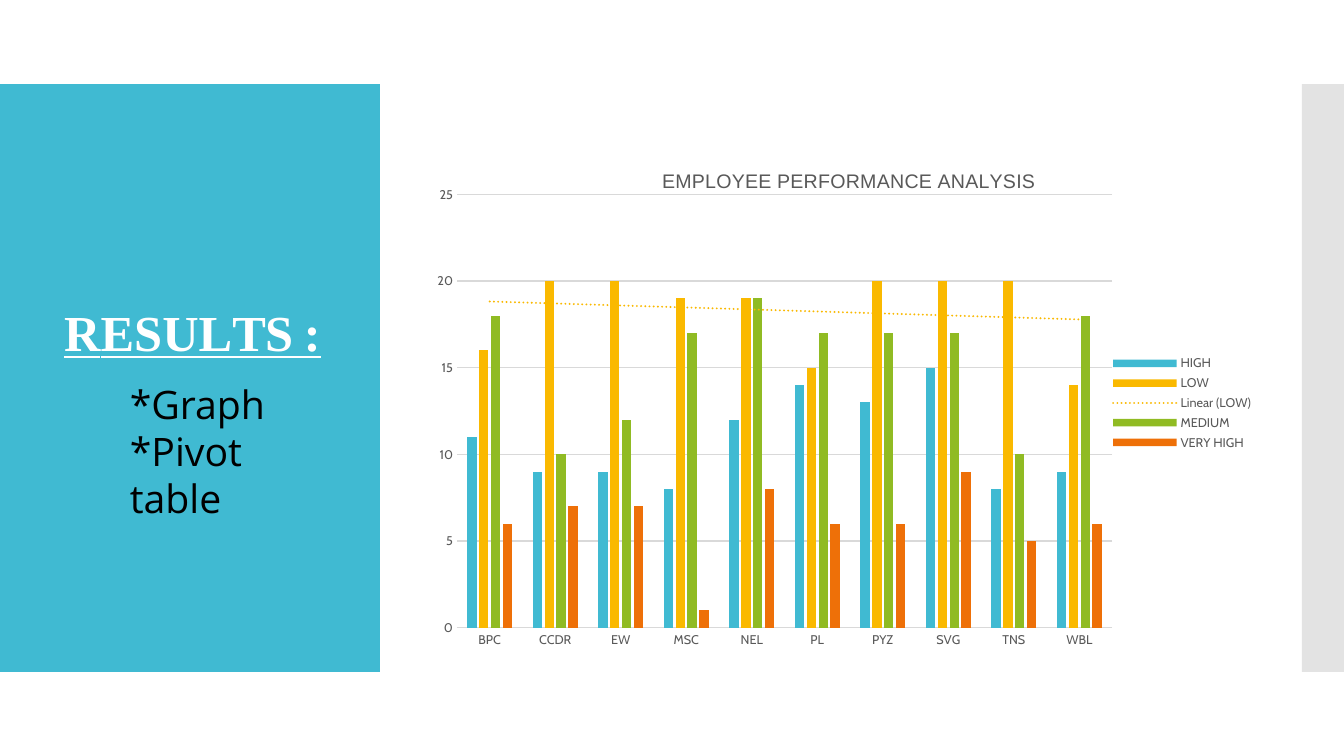
from dataclasses import dataclass

from lxml import etree
from pptx import Presentation
from pptx.chart.data import CategoryChartData
from pptx.dml.color import RGBColor
from pptx.enum.chart import XL_CHART_TYPE, XL_LEGEND_POSITION, XL_TICK_MARK
from pptx.enum.shapes import MSO_SHAPE
from pptx.enum.text import MSO_ANCHOR, PP_ALIGN
from pptx.oxml import parse_xml
from pptx.oxml.ns import nsdecls, qn
from pptx.util import Pt

COLUMNS = XL_CHART_TYPE.COLUMN_CLUSTERED
LEGEND_RIGHT = XL_LEGEND_POSITION.RIGHT
NO_TICK = XL_TICK_MARK.NONE
RECTANGLE = MSO_SHAPE.RECTANGLE
MIDDLE = MSO_ANCHOR.MIDDLE
CENTER = PP_ALIGN.CENTER
TITLE_ONLY = 5


@dataclass(frozen=True)
class Theme:
    panel: str = "40BAD2"
    strip: str = "C8C8C8"
    white: str = "FFFFFF"
    black: str = "000000"
    label: str = "595959"
    grid: str = "D9D9D9"
    series: tuple = ("40BAD2", "FAB900", "90BB23", "EE7008")
    trend: str = "FAB900"
    heading_font: str = "Times New Roman"
    list_font: str = "Open Sans"
    chart_font: str = "Cabin"
    chart_title_font: str = "Arial"
    heading_size: int = 36
    list_size: int = 28
    chart_title_size: int = 14
    chart_size: int = 10
    label_size: int = 9


THEME = Theme()

# Heading letters with their spacing in hundredths of a point
HEADING = (("R", -60), ("E", -40), ("S", 10), ("U", -30), ("L", -400), ("TS :", -60))
FINDINGS = ("*Graph", "*Pivot table")
COMPANIES = ("BPC", "CCDR", "EW", "MSC", "NEL", "PL", "PYZ", "SVG", "TNS", "WBL")
RATINGS = {
    "HIGH": (11, 9, 9, 8, 12, 14, 13, 15, 8, 9),
    "LOW": (16, 20, 20, 19, 19, 15, 20, 20, 20, 14),
    "MEDIUM": (18, 10, 12, 17, 19, 17, 17, 17, 10, 18),
    "VERY HIGH": (6, 7, 7, 1, 8, 6, 6, 9, 5, 6),
}
TREND_RATING = "LOW"


def rgb(color):
    return RGBColor.from_string(color)


def set_font(font, name, size, color, bold=False):
    font.name = name
    font.size = Pt(size)
    font.color.rgb = rgb(color)
    font.bold = bold


def add_block(slide, box, color, opacity=100):
    block = slide.shapes.add_shape(RECTANGLE, *map(Pt, box))
    block.shadow.inherit = False
    block.fill.solid()
    block.fill.fore_color.rgb = rgb(color)
    block.line.fill.background()
    if opacity < 100:
        tint = block.fill._xPr.find(qn("a:solidFill"))[0]
        etree.SubElement(tint, qn("a:alpha")).set("val", str(opacity * 1000))


def add_results_panel(slide, box):
    left, top, width, height = box
    add_block(slide, box, THEME.panel)

    # Heading, raised above the middle by its bottom inset
    heading = slide.shapes.title
    heading.left, heading.top = Pt(left + 21.6), Pt(top + 17)
    heading.width, heading.height = Pt(width - 39.6), Pt(height - 58)
    frame = heading.text_frame
    frame.word_wrap = True
    frame.vertical_anchor = MIDDLE
    frame.margin_bottom = Pt(41)
    line = frame.paragraphs[0]
    line.alignment = CENTER
    line.line_spacing = 0.9
    set_font(line.font, THEME.heading_font, THEME.heading_size, THEME.white, bold=True)
    line.font.underline = True
    for letters, spacing in HEADING:
        run = line.add_run()
        run.text = letters
        run.font._element.set("spc", str(spacing))

    # Findings
    findings = slide.shapes.add_textbox(
        Pt(left + 85.7), Pt(top + 207.8), Pt(126.7), Pt(75))
    frame = findings.text_frame
    frame.word_wrap = True
    frame.text = "\n".join(FINDINGS)
    for line in frame.paragraphs:
        set_font(line.font, THEME.list_font, THEME.list_size, THEME.black)

    # The panel was drawn after the heading placeholder: bring the heading forward
    slide.shapes._spTree.append(heading._element)


def set_layout(parent, index, **settings):
    """Fix a chart part's place, in fractions of the chart."""
    previous = parent.find(qn("c:layout"))
    if previous is not None:
        parent.remove(previous)
    layout = etree.Element(qn("c:layout"))
    manual = etree.SubElement(layout, qn("c:manualLayout"))
    for key, value in settings.items():
        etree.SubElement(manual, qn(f"c:{key}")).set("val", str(value))
    parent.insert(index, layout)


def add_trendline(series):
    trendline = parse_xml(
        f'<c:trendline {nsdecls("c", "a")}><c:spPr><a:ln w="{Pt(1.5)}" cap="rnd">'
        f'<a:solidFill><a:srgbClr val="{THEME.trend}"/></a:solidFill>'
        '<a:prstDash val="sysDot"/></a:ln></c:spPr>'
        '<c:trendlineType val="linear"/><c:dispRSqr val="0"/><c:dispEq val="0"/>'
        '</c:trendline>')
    series._element.find(qn("c:cat")).addprevious(trendline)


def style_axes(chart):
    categories, values = chart.category_axis, chart.value_axis
    for axis in (categories, values):
        axis.major_tick_mark = axis.minor_tick_mark = NO_TICK
        set_font(axis.tick_labels.font, THEME.chart_font, THEME.label_size, THEME.label)
    values.minimum_scale, values.maximum_scale, values.major_unit = 0, 25, 5
    values.format.line.fill.background()
    values.has_major_gridlines = True
    for line in (categories.format.line, values.major_gridlines.format.line):
        line.color.rgb = rgb(THEME.grid)
        line.width = Pt(0.75)


def add_performance_chart(slide, box):
    data = CategoryChartData()
    data.categories = COMPANIES
    for rating, counts in RATINGS.items():
        data.add_series(rating, counts)
    chart = slide.shapes.add_chart(COLUMNS, *map(Pt, box), data).chart
    set_font(chart.font, THEME.chart_font, THEME.chart_size, THEME.black)

    # Columns
    plot = chart.plots[0]
    plot.gap_width, plot.overlap = 219, -27
    plot.vary_by_categories = False
    for series, color in zip(plot.series, THEME.series):
        series.format.fill.solid()
        series.format.fill.fore_color.rgb = rgb(color)
        if series.name == TREND_RATING:
            add_trendline(series)
    set_layout(chart._chartSpace.chart.plotArea, 0, layoutTarget="inner",
               xMode="edge", yMode="edge", x=0.04, y=0.097, w=0.78, h=0.838)
    style_axes(chart)

    # Title and legend
    chart.has_title = True
    caption = chart.chart_title.text_frame
    caption.text = "EMPLOYEE PERFORMANCE ANALYSIS"
    set_font(caption.paragraphs[0].font, THEME.chart_title_font,
             THEME.chart_title_size, THEME.label)
    set_layout(chart.chart_title._element, 1, xMode="edge", yMode="edge", x=0.28, y=0.04)
    chart.has_legend = True
    chart.legend.position = LEGEND_RIGHT
    chart.legend.include_in_layout = False
    set_font(chart.legend.font, THEME.chart_font, THEME.label_size, THEME.label)


def main():
    deck = Presentation()
    deck.slide_width, deck.slide_height = Pt(960), Pt(540)
    slide = deck.slides.add_slide(deck.slide_layouts[TITLE_ONLY])
    add_results_panel(slide, (0, 60, 271.4, 420))
    add_block(slide, (930, 60, 30, 420), THEME.strip, opacity=50)
    add_performance_chart(slide, (302.4, 103, 600, 369.4))
    deck.save("out.pptx")


if __name__ == "__main__":
    main()
